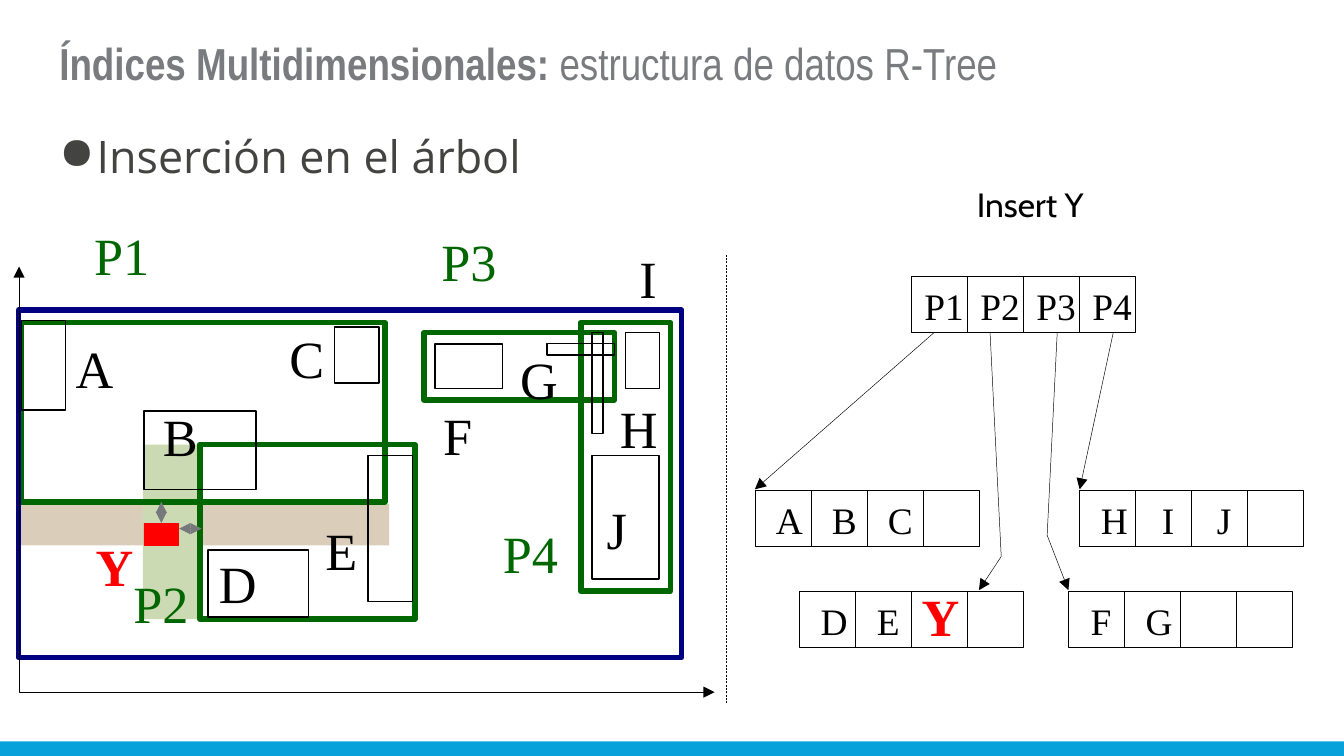
import dataclasses

import lxml.etree
import pptx
import pptx.dml.color
import pptx.enum.dml
import pptx.enum.shapes
import pptx.enum.text
import pptx.oxml.ns
import pptx.util


@dataclasses.dataclass(frozen=True)
class Theme:
    title_font: str = "Arial Narrow"
    body_font: str = "Open Sans"
    caption_font: str = "Cabin"
    diagram_font: str = "Times New Roman"
    heading: int = 24
    caption: int = 18
    map_size: int = 28
    node_size: int = 20
    title_gray: str = "797B7E"
    body_gray: str = "434342"
    gap_gray: str = "76787B"
    black: str = "000000"
    green: str = "006600"
    navy: str = "000080"
    red: str = "FF0000"
    tan: str = "DACEBB"
    sage: str = "CCDAB3"
    footer: str = "08A1D9"


theme = Theme()
rgb = pptx.dml.color.RGBColor.from_string
qn = pptx.oxml.ns.qn
Pt = pptx.util.Pt
text_enum = pptx.enum.text

prs = pptx.Presentation()
prs.slide_width = pptx.util.Inches(10)
prs.slide_height = pptx.util.Inches(5.625)
UNIT = prs.slide_width / 120  # the slide is a grid of 120 columns by 67.5 rows
MAP_COL, MAP_ROW = 1.86, 27.7
CELL = 5
slide = prs.slides.add_slide(prs.slide_layouts[5])


def add_box(shapes, col, row, cols, rows, fill=None, line=None, weight=0.75):
    box = shapes.add_shape(pptx.enum.shapes.MSO_SHAPE.RECTANGLE,
                           *(round(n * UNIT) for n in (col, row, cols, rows)))
    box.shadow.inherit = False
    if fill:
        box.fill.solid()
        box.fill.fore_color.rgb = rgb(fill)
    else:
        box.fill.background()
    if line:
        box.line.color.rgb = rgb(line)
        box.line.width = Pt(weight)
    else:
        box.line.fill.background()


def add_label(shapes, text, col, row, size, color, font=theme.diagram_font, bold=False):
    """Write one line of text centred on the grid point (col, row)."""
    cols, rows = len(text) * size * 0.1 + 2.4, size * 0.2 + 1.2
    label = shapes.add_textbox(*(round(n * UNIT) for n in
                                 (col - cols / 2, row - rows / 2, cols, rows)))
    frame = label.text_frame
    frame.word_wrap = False
    frame.auto_size = text_enum.MSO_AUTO_SIZE.SHAPE_TO_FIT_TEXT
    frame.vertical_anchor = text_enum.MSO_ANCHOR.MIDDLE
    frame.text = text
    paragraph = frame.paragraphs[0]
    paragraph.alignment = text_enum.PP_ALIGN.CENTER
    letters = paragraph.runs[0].font
    letters.name, letters.size, letters.bold = font, Pt(size), bold
    letters.color.rgb = rgb(color)


# Footer and the two stretches in which Y could enlarge P1 and P2
add_box(slide.shapes, 0, 66.2, 120, 1.3, theme.footer)
add_box(slide.shapes, MAP_COL, MAP_ROW + 17.3, 32.9, 3.7, theme.tan)
add_box(slide.shapes, MAP_COL + 10.9, MAP_ROW + 12, 4.9, 15.6, theme.sage)

# Title and bullet
title = slide.shapes.title
bullet = slide.shapes.add_textbox(0, 0, 0, 0)
for heading, row, rows in [(title, 2, 8.3), (bullet, 10.3, 9)]:
    heading.left, heading.top = round(4.1 * UNIT), round(row * UNIT)
    heading.width, heading.height = round(111.8 * UNIT), round(rows * UNIT)
    frame = heading.text_frame
    frame.word_wrap = True
    frame.auto_size = text_enum.MSO_AUTO_SIZE.NONE
    frame.vertical_anchor = text_enum.MSO_ANCHOR.TOP
    frame.margin_left = frame.margin_right = pptx.util.Inches(0.1)
    frame.margin_top = frame.margin_bottom = pptx.util.Inches(0.1)

title.text_frame.text = "Índices Multidimensionales: "
subject = title.text_frame.paragraphs[0]
subject.alignment = text_enum.PP_ALIGN.LEFT
subject.add_run().text = "estructura de datos R-Tree"
for run, bold in zip(subject.runs, (True, False)):
    run.font.name, run.font.size, run.font.bold = theme.title_font, Pt(theme.heading), bold
    run.font.color.rgb = rgb(theme.title_gray)

bullet.text_frame.text = "Inserción en el árbol"
point = bullet.text_frame.paragraphs[0]
properties = point._p.get_or_add_pPr()
indent = pptx.util.Inches(0.28)
properties.set("marL", str(indent))
properties.set("indent", str(-indent))
bullet_color = lxml.etree.SubElement(properties, qn("a:buClr"))
lxml.etree.SubElement(bullet_color, qn("a:srgbClr")).set("val", theme.body_gray)
lxml.etree.SubElement(properties, qn("a:buChar")).set("char", "●")
words = point.runs[0].font
words.name, words.size = theme.body_font, Pt(theme.heading)
words.color.rgb = rgb(theme.body_gray)

add_label(slide.shapes, "Insert Y", 92, 18.2, theme.caption, theme.black, theme.caption_font)

# Map: pages, objects and outer boundary, relative to the map's corner
pages = [(0, 1.1, 32.5, 16), (50, 1.1, 8, 24), (16, 12, 19.2, 15.6), (36, 2, 17, 6)]
objects = [(0, 0.9, 4, 8), (28, 1.5, 4, 5), (11, 9, 10, 7), (16.7, 21.4, 9, 6),
           (31, 13, 4, 13), (37, 3, 6, 4), (51, 13, 6, 11), (54, 2, 3, 5),
           (47, 3, 6, 1), (51, 2, 1, 9)]
boundary = [(-0.2, 0, 59.2, 31)]
for rects, color, weight in [(pages, theme.green, 3), (objects, theme.black, 0.75),
                             (boundary, theme.navy, 3)]:
    for col, row, cols, rows in rects:
        add_box(slide.shapes, MAP_COL + col, MAP_ROW + row, cols, rows,
                line=color, weight=weight)

object_names = {"A": (6.3, 5.1), "B": (14.1, 11.2), "C": (25.4, 4.2), "D": (19.1, 24.3),
                "E": (28.6, 21.4), "F": (39, 11.1), "G": (46, 6.1), "H": (54.9, 10.5),
                "I": (56, -2.9), "J": (53.2, 19.5)}
page_names = {"P1": (9, -5), "P2": (12.5, 26.1), "P3": (40, -4.4), "P4": (45.5, 21.6)}
for names, color in [(object_names, theme.black), (page_names, theme.green),
                     ({"Y": (8.1, 22.8)}, theme.red)]:
    for name, (col, row) in names.items():
        add_label(slide.shapes, name, MAP_COL + col, MAP_ROW + row, theme.map_size,
                  color, bold=color == theme.red)

# Tree: every node is a row of four cells
nodes = [(("P1", "P2", "P3", "P4"), 81.4, 24.7), ("FG", 95.4, 52.8), ("DE", 71.4, 52.8),
         ("HIJ", 96.4, 43.8), ("ABC", 67.4, 43.8)]
for entries, col, row in nodes:
    node = slide.shapes.add_group_shape().shapes
    for i in range(4):
        add_box(node, col + i * CELL, row, CELL, CELL, line=theme.black, weight=0.25)
    for i, entry in enumerate(entries):
        add_label(node, entry, col + i * CELL + 2.9, row + 2.6, theme.node_size, theme.black)

# Axes, divider, tree pointers and the gaps from Y to P1 and P2
strokes = [
    ([(1.7, 23.8), (1.7, 61.8), (63.8, 61.8)], theme.black, 0.25, "both"),
    ([(64.8, 62.8), (64.8, 22.8)], theme.black, 0.25, "dash"),
    ([(83.4, 29.7), (67.4, 43.7)], theme.black, 0.25, "end"),
    ([(99.4, 29.7), (96.4, 43.7)], theme.black, 0.25, "end"),
    ([(88.4, 29.7), (89.4, 49.7), (87.4, 52.7)], theme.black, 0.25, "end"),
    ([(94.4, 29.7), (93.5, 47.8), (95.4, 52.7)], theme.black, 0.25, "end"),
    ([(14.4, 44.8), (14.4, 46.7)], theme.gap_gray, 0.75, "both"),
    ([(18, 47.2), (16, 47.2)], theme.gap_gray, 0.75, "both"),
]
for points, color, weight, style in strokes:
    corners = [(round(col * UNIT), round(row * UNIT)) for col, row in points]
    if len(corners) == 2:
        stroke = slide.shapes.add_connector(pptx.enum.shapes.MSO_CONNECTOR.STRAIGHT,
                                            *corners[0], *corners[1])
        lxml.etree.SubElement(stroke._element.spPr, qn("a:effectLst"))
    else:
        outline = slide.shapes.build_freeform(*corners[0])
        outline.add_line_segments(corners[1:], close=False)
        stroke = outline.convert_to_shape()
        stroke.shadow.inherit = False
        stroke.fill.background()
    stroke.line.color.rgb = rgb(color)
    stroke.line.width = Pt(weight)
    if style == "dash":
        stroke.line.dash_style = pptx.enum.dml.MSO_LINE.DASH
    ends = {"both": ("a:headEnd", "a:tailEnd"), "end": ("a:tailEnd",), "dash": ()}
    for end in ends[style]:
        lxml.etree.SubElement(stroke.line._get_or_add_ln(), qn(end)).set("type", "triangle")

# The inserted entry, in its leaf and on the map
add_label(slide.shapes, "Y", 83.7, 55, theme.map_size, theme.red, bold=True)
add_box(slide.shapes, MAP_COL + 11, MAP_ROW + 19, 3.1, 2, theme.red, theme.red, 0.25)

prs.save("out.pptx")
